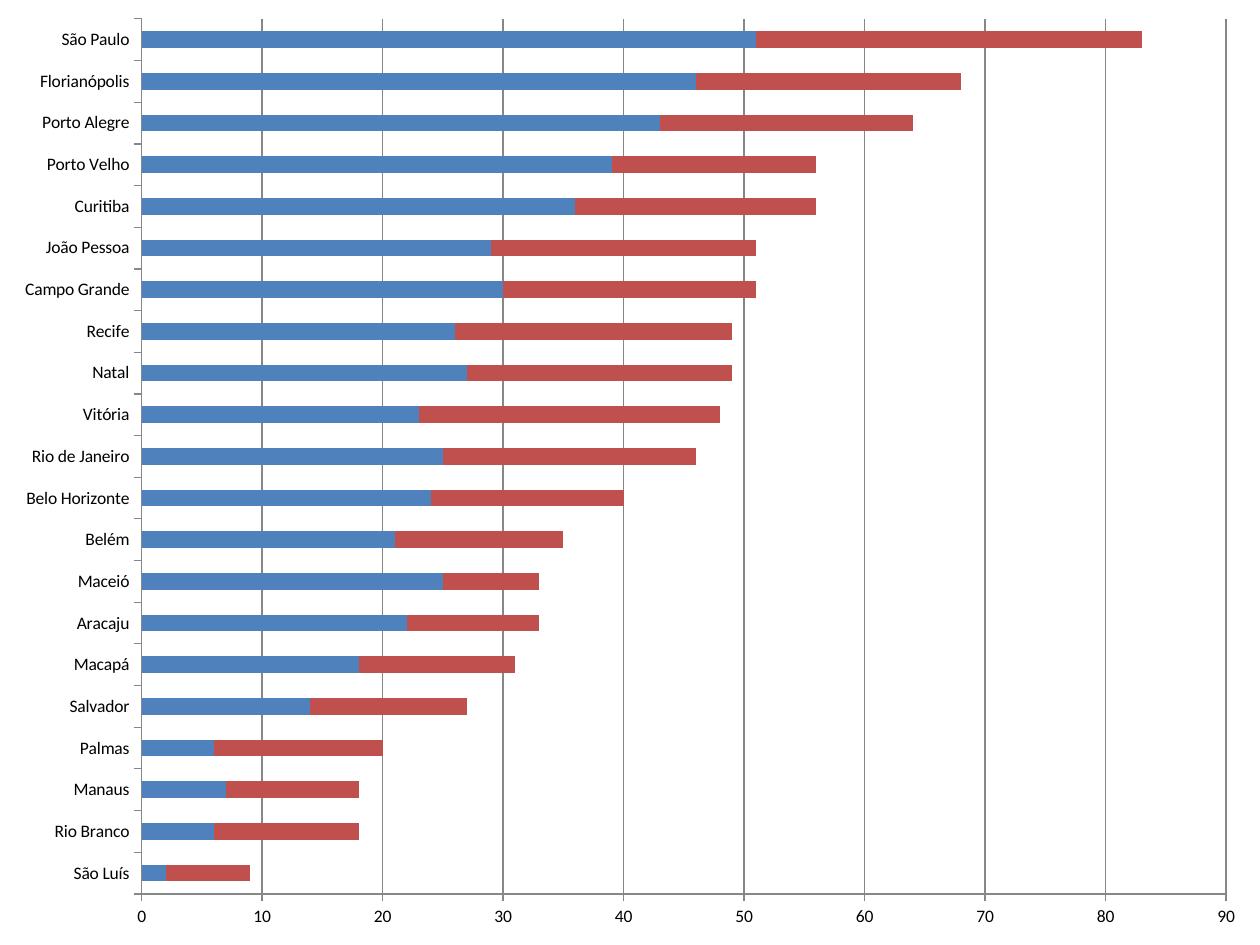
from pptx import Presentation
from pptx import util as u
from pptx.chart.data import CategoryChartData
from pptx.dml.color import RGBColor
from pptx.enum import chart as charts

BLUE = RGBColor(0x4F, 0x81, 0xBD)
RED = RGBColor(0xC0, 0x50, 0x4D)
GRAY = RGBColor(0x87, 0x87, 0x87)
BLACK = RGBColor(0, 0, 0)

# City, first series, second series (from bottom to top)
CITIES = [
    ("São Luís", 2, 7),
    ("Rio Branco", 6, 12),
    ("Manaus", 7, 11),
    ("Palmas", 6, 14),
    ("Salvador", 14, 13),
    ("Macapá", 18, 13),
    ("Aracaju", 22, 11),
    ("Maceió", 25, 8),
    ("Belém", 21, 14),
    ("Belo Horizonte", 24, 16),
    ("Rio de Janeiro", 25, 21),
    ("Vitória", 23, 25),
    ("Natal", 27, 22),
    ("Recife", 26, 23),
    ("Campo Grande", 30, 21),
    ("João Pessoa", 29, 22),
    ("Curitiba", 36, 20),
    ("Porto Velho", 39, 17),
    ("Porto Alegre", 43, 21),
    ("Florianópolis", 46, 22),
    ("São Paulo", 51, 32),
]


def style_line(line):
    line.color.rgb = GRAY
    line.width = u.Pt(0.75)


def style_axis(axis):
    axis.major_tick_mark = charts.XL_TICK_MARK.OUTSIDE
    axis.minor_tick_mark = charts.XL_TICK_MARK.NONE
    style_line(axis.format.line)


def add_city_chart(page, left, top, width, height):
    names, first, second = zip(*CITIES)
    data = CategoryChartData(number_format="General")
    data.categories = names
    data.add_series("Series 1", first)
    data.add_series("Series 2", second)
    chart = page.shapes.add_chart(
        charts.XL_CHART_TYPE.BAR_STACKED, left, top, width, height, data
    ).chart
    chart.has_legend = False
    chart.has_title = False
    chart.font.name = "Calibri"
    chart.font.size = u.Pt(10)
    chart.font.color.rgb = BLACK

    # Stacked bars
    plot = chart.plots[0]
    plot.gap_width = 150
    plot.overlap = 100
    plot.vary_by_categories = False
    for series, color in zip(plot.series, (BLUE, RED)):
        series.format.fill.solid()
        series.format.fill.fore_color.rgb = color

    # Axes and gridlines
    style_axis(chart.category_axis)
    values = chart.value_axis
    style_axis(values)
    values.minimum_scale = 0
    values.maximum_scale = 90
    values.major_unit = 10
    values.has_major_gridlines = True
    style_line(values.major_gridlines.format.line)


def main():
    deck = Presentation()
    deck.slide_width = u.Inches(10)
    deck.slide_height = u.Inches(7.5)
    page = deck.slides.add_slide(deck.slide_layouts[6])

    # Chart over the whole slide
    add_city_chart(page, u.Inches(0), u.Inches(0), u.Inches(10), u.Inches(7.5))
    deck.save("out.pptx")


if __name__ == "__main__":
    main()
